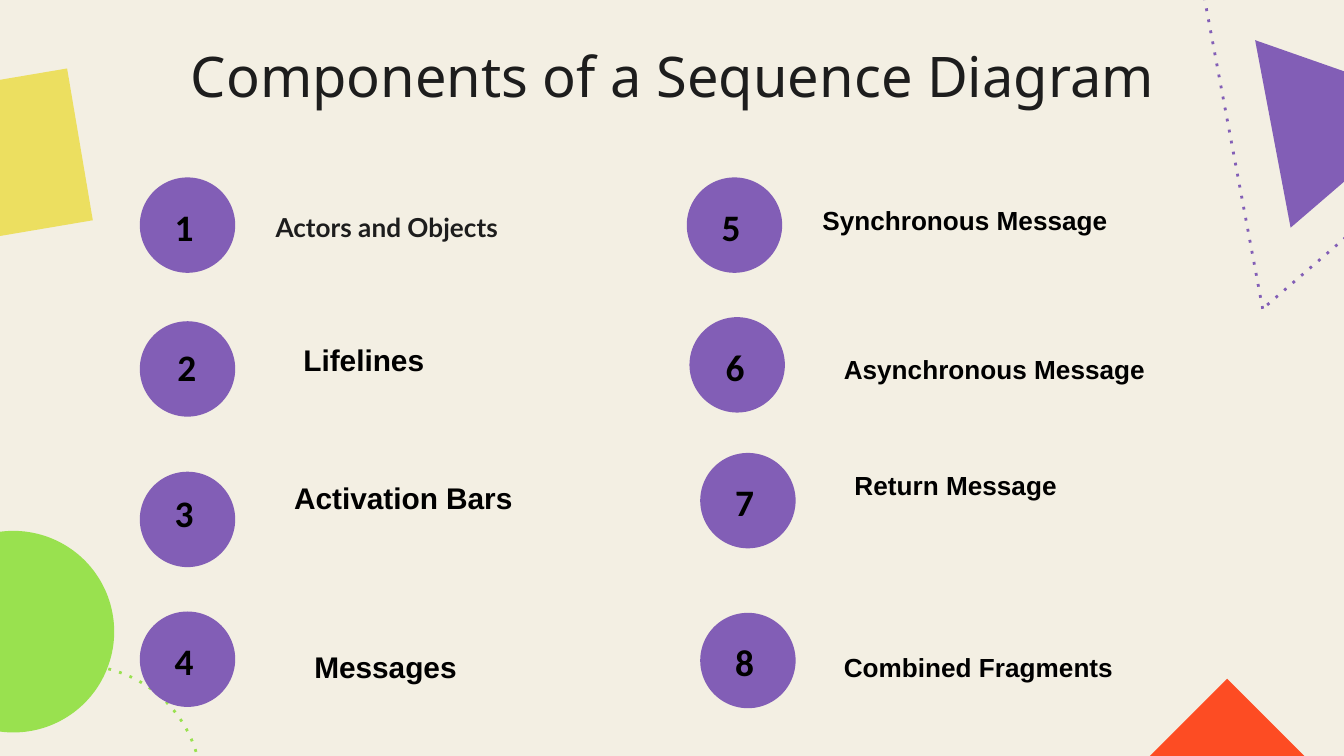
from dataclasses import dataclass

import lxml.etree
import pptx
import pptx.dml.color
import pptx.enum.shapes
import pptx.enum.text
import pptx.oxml.ns
import pptx.util

Inches = pptx.util.Inches
Kind = pptx.enum.shapes.MSO_SHAPE
Anchor = pptx.enum.text.MSO_ANCHOR
Align = pptx.enum.text.PP_ALIGN

COLORS = {
    "cream": "F3EFE3",
    "violet": "825EB6",
    "green": "99E14F",
    "red": "FD4C23",
    "yellow": "ECDF60",
    "ink": "1D1D1D",
    "black": "000000",
}
DISC = 0.71


@dataclass
class Decor:
    kind: Kind
    x: float
    y: float
    w: float
    h: float
    color: str
    turn: float = 0
    dotted: bool = False


@dataclass
class Badge:
    """A numbered disc; dx and dy shift the digit's box from the disc's corner."""
    num: int
    x: float
    y: float
    dx: float = 0.1
    dy: float = 0.15


@dataclass
class Label:
    text: str
    x: float
    y: float
    w: float
    size: int


DECORS = [
    Decor(Kind.ISOSCELES_TRIANGLE, 8.22, -0.87, 2.92, 2.52, "violet", 319.3, True),
    Decor(Kind.OVAL, -0.65, 3.95, 1.5, 1.5, "green", 291.5),
    Decor(Kind.DIAMOND, 8.32, 5.05, 1.62, 1.62, "red"),
    Decor(Kind.DIAMOND, -0.78, 0.36, 1.62, 1.62, "yellow", 35.4),
    Decor(Kind.ISOSCELES_TRIANGLE, 9.03, 0.15, 1.42, 1.23, "violet", 319.3),
    Decor(Kind.OVAL, -0.33, 4.95, 1.83, 1.83, "green", 291.5, True),
]
LABELS = [
    Label("Lifelines", 2.16, 2.49, 2.14, 16),
    Label("Activation Bars", 2.09, 3.52, 2.14, 16),
    Label("Messages", 2.24, 4.78, 2.14, 16),
    Label("Combined Fragments", 6.18, 4.8, 2.59, 14),
    Label("Return Message", 6.26, 3.44, 2.14, 14),
    Label("Asynchronous Message", 6.18, 2.58, 2.87, 14),
    Label("Synchronous Message", 6.02, 1.47, 2.82, 14),
]
BADGES = [
    Badge(1, 1.04, 1.32),
    Badge(2, 1.04, 2.39, 0.12, 0.12),
    Badge(3, 1.04, 3.51, 0.1, 0.09),
    Badge(4, 1.04, 4.55),
    Badge(5, 5.11, 1.32),
    Badge(6, 5.13, 2.36, 0.11),
    Badge(7, 5.21, 3.37),
    Badge(8, 5.21, 4.56),
]


def tint(name: str) -> pptx.dml.color.RGBColor:
    return pptx.dml.color.RGBColor.from_string(COLORS[name])


def place(shape, x: float, y: float, w: float, h: float) -> None:
    shape.left, shape.top = Inches(x), Inches(y)
    shape.width, shape.height = Inches(w), Inches(h)


def write(para, text: str, size: int, face: str, color: str, bold: bool) -> None:
    run = para.add_run()
    run.text = text
    font = run.font
    font.size, font.name, font.bold = pptx.util.Pt(size), face, bold
    font.color.rgb = tint(color)


def dot_line(shape, color: str) -> None:
    shape.line.color.rgb = tint(color)
    shape.line.width = pptx.util.Pt(1.5)
    qn = pptx.oxml.ns.qn
    line = shape.element.spPr.find(qn("a:ln"))
    lxml.etree.SubElement(line, qn("a:prstDash")).set("val", "dot")


def draw(slide, item: Decor) -> None:
    shape = slide.shapes.add_shape(
        item.kind, Inches(item.x), Inches(item.y), Inches(item.w), Inches(item.h))
    shape.rotation = item.turn
    shape.shadow.inherit = False
    if item.dotted:
        shape.fill.background()
        dot_line(shape, item.color)
    else:
        shape.fill.solid()
        shape.fill.fore_color.rgb = tint(item.color)
        shape.line.fill.background()


def add_text(slide, item: Label, h: float, face: str, inset: float = 0.1) -> None:
    box = slide.shapes.add_textbox(
        Inches(item.x), Inches(item.y), Inches(item.w), Inches(h))
    frame = box.text_frame
    frame.word_wrap = True
    frame.margin_left = Inches(inset)
    frame.auto_size = pptx.enum.text.MSO_AUTO_SIZE.SHAPE_TO_FIT_TEXT
    write(frame.paragraphs[0], item.text, item.size, face, "black", True)


def add_badge(slide, item: Badge) -> None:
    draw(slide, Decor(Kind.OVAL, item.x, item.y, DISC, DISC, "violet"))
    digit = Label(str(item.num), item.x + item.dx, item.y + item.dy, 0.53, 20)
    add_text(slide, digit, 0.44, "Calibri", 0.16)


def set_frame(shape, anchor: Anchor, align: Align):
    """Prepare a placeholder's frame and return its first paragraph."""
    frame = shape.text_frame
    frame.word_wrap = True
    frame.auto_size = pptx.enum.text.MSO_AUTO_SIZE.NONE
    frame.vertical_anchor = anchor
    frame.margin_left = frame.margin_right = Inches(0.1)
    frame.margin_top = frame.margin_bottom = Inches(0.1)
    para = frame.paragraphs[0]
    para.alignment = align
    para.space_before = pptx.util.Pt(0)
    return para


def main() -> None:
    deck = pptx.Presentation()
    deck.slide_width = Inches(10)
    deck.slide_height = deck.slide_width * 9 // 16
    slide = deck.slides.add_slide(deck.slide_layouts[0])
    slide.background.fill.solid()
    slide.background.fill.fore_color.rgb = tint("cream")

    for decor in DECORS:
        draw(slide, decor)

    title = slide.shapes.title
    place(title, 0.79, 0.21, 8.43, 0.63)
    para = set_frame(title, Anchor.TOP, Align.CENTER)
    write(para, "Components of a Sequence Diagram", 30, "Noto Sans", "ink", False)

    first = slide.placeholders[1]
    place(first, 1.85, 1.42, 2.7, 0.49)
    para = set_frame(first, Anchor.BOTTOM, Align.LEFT)
    para.line_spacing = 1.15
    first.text_frame.margin_left = Inches(0.2)
    write(para, "Actors and Objects", 14, "Lato", "ink", True)

    for label in LABELS:
        add_text(slide, label, 0.37 if label.size == 16 else 0.34, "Arial")
    for badge in BADGES:
        add_badge(slide, badge)

    deck.save("out.pptx")


if __name__ == "__main__":
    main()
